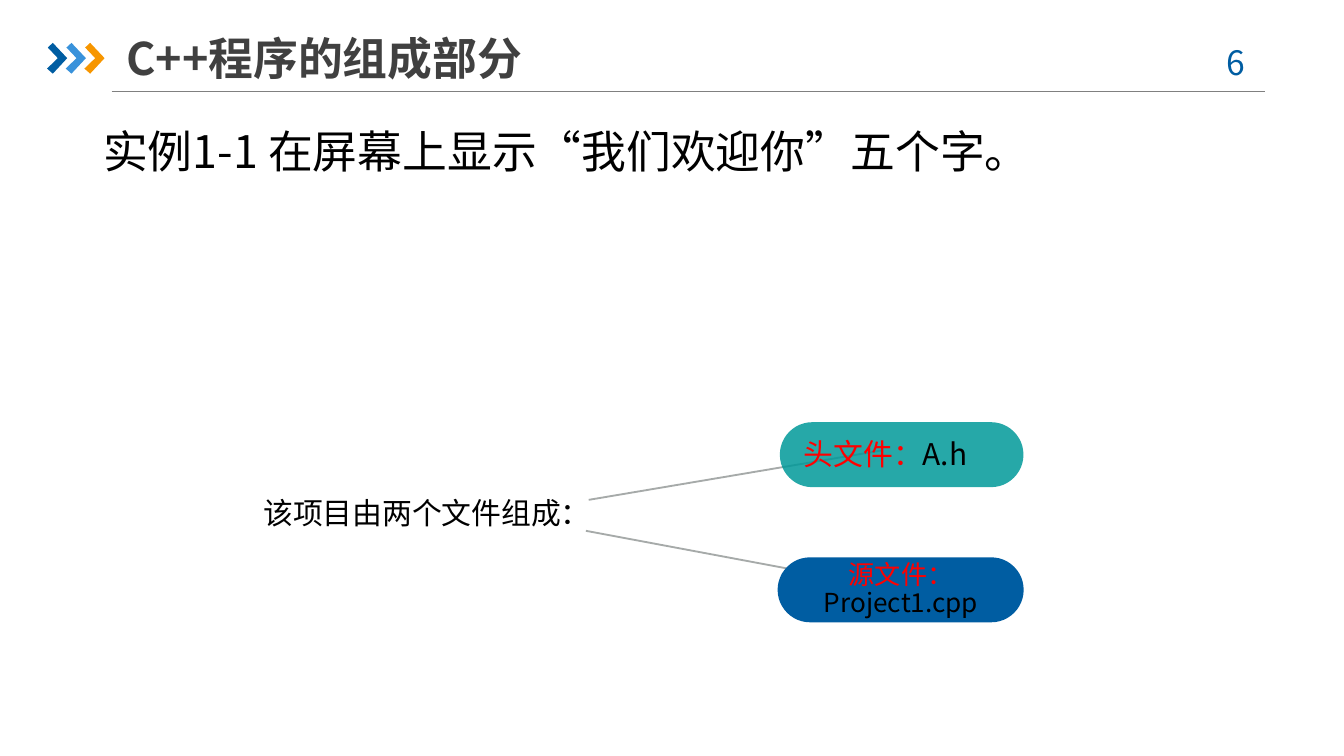
from dataclasses import dataclass

from lxml import etree
from pptx import Presentation
from pptx.dml.color import RGBColor
from pptx.enum.shapes import MSO_CONNECTOR, MSO_SHAPE
from pptx.enum.text import MSO_ANCHOR, MSO_AUTO_SIZE, PP_ALIGN
from pptx.oxml.ns import qn
from pptx.shapes.autoshape import Shape
from pptx.slide import Slide
from pptx.util import Pt

STRAIGHT = MSO_CONNECTOR.STRAIGHT
PILL = MSO_SHAPE.ROUNDED_RECTANGLE
TOP, MIDDLE = MSO_ANCHOR.TOP, MSO_ANCHOR.MIDDLE
LEFT, CENTER = PP_ALIGN.LEFT, PP_ALIGN.CENTER
FIT_SHAPE, FIXED = MSO_AUTO_SIZE.SHAPE_TO_FIT_TEXT, MSO_AUTO_SIZE.NONE

FONT = "Noto Sans CJK SC"
BLACK = RGBColor(0x00, 0x00, 0x00)
RED = RGBColor(0xFF, 0x00, 0x00)
BLUE = RGBColor(0x00, 0x5D, 0xA2)
SKY = RGBColor(0x39, 0x92, 0xDB)
ORANGE = RGBColor(0xF7, 0x96, 0x00)
TEAL = RGBColor(0x00, 0x99, 0x99)
CHARCOAL = RGBColor(0x40, 0x40, 0x40)
RULE_GRAY = RGBColor(0x80, 0x80, 0x80)
BRANCH_GRAY = RGBColor(0xA6, 0xAA, 0xA9)

CHEVRON = [(25.6, 25.5), (28.3, 23), (36, 31.2), (28.3, 39.5), (25.2, 36.8), (31, 31.2)]
CHEVRON_PITCH = 10


@dataclass(frozen=True)
class Box:
    left: float
    top: float
    width: float
    height: float


@dataclass(frozen=True)
class Caption:
    box: Box
    wording: tuple[tuple[str, RGBColor], ...]
    size: float
    align: PP_ALIGN = LEFT
    anchor: MSO_ANCHOR = TOP
    fit: MSO_AUTO_SIZE = FIXED
    wrap: bool = True
    bold: bool = False
    insets: tuple[float, float] = (7.2, 3.6)
    line_spacing: float = 1.0
    space_before: float = 0


@dataclass(frozen=True)
class Branch:
    start: tuple[float, float]
    end: tuple[float, float]
    pill: Box
    fill: RGBColor
    opacity: int
    label: Caption


def file_label(box: Box, kind: str, name: str, size: float) -> Caption:
    return Caption(box, ((kind, RED), (name, BLACK)), size, CENTER, MIDDLE,
                   insets=(0, 0), line_spacing=0.9, space_before=10)


PAGE_NUMBER = Caption(Box(638, 18.7, 52.5, 29), (("6 ", BLUE),), 18, CENTER, fit=FIT_SHAPE)
TITLE = Caption(Box(67.7, 15.8, 337.7, 30.2), (("C++程序的组成部分", CHARCOAL),), 24,
                anchor=MIDDLE, bold=True, insets=(0, 3.6))
EXAMPLE = Caption(Box(48.2, 62.6, 516.2, 36), (("实例1-1 在屏幕上显示“我们欢迎你”五个字。", BLACK),),
                  24, fit=FIT_SHAPE, wrap=False)
PROJECT = Caption(Box(134, 261.4, 190, 26.6), (("该项目由两个文件组成：", BLACK),),
                  16, fit=FIT_SHAPE, wrap=False, space_before=3.2)

BRANCHES = (
    Branch((315.4, 267.8), (473, 241.2), Box(417.8, 226.2, 130.5, 34.8), TEAL, 85,
           file_label(Box(419, 231.8, 110.9, 24.5), "头文件：", "A.h", 16)),
    Branch((313.9, 284.4), (471.6, 313.9), Box(416.6, 298.6, 131.8, 34.8), BLUE, 100,
           file_label(Box(417.6, 303.8, 130.3, 24.5), "源文件：", "Project1.cpp", 14)),
)


def paint(shape: Shape, color: RGBColor) -> None:
    shape.shadow.inherit = False
    shape.fill.solid()
    shape.fill.fore_color.rgb = color
    shape.line.fill.background()


def draw_line(slide: Slide, start: tuple[float, float], end: tuple[float, float],
              color: RGBColor, width: float) -> None:
    line = slide.shapes.add_connector(STRAIGHT, *map(Pt, start + end))
    line.line.color.rgb = color
    line.line.width = Pt(width)
    etree.SubElement(line._element.spPr, qn("a:effectLst"))


def draw_chevron(slide: Slide, offset: float, color: RGBColor) -> None:
    corners = [(Pt(x + offset), Pt(y)) for x, y in CHEVRON]
    builder = slide.shapes.build_freeform(*corners[0])
    builder.add_line_segments(corners[1:], close=True)
    paint(builder.convert_to_shape(), color)


def draw_caption(slide: Slide, caption: Caption) -> None:
    box = caption.box
    frame = slide.shapes.add_textbox(
        Pt(box.left), Pt(box.top), Pt(box.width), Pt(box.height)).text_frame
    frame.word_wrap = caption.wrap
    frame.auto_size = caption.fit
    frame.vertical_anchor = caption.anchor
    frame.margin_left = frame.margin_right = Pt(caption.insets[0])
    frame.margin_top = frame.margin_bottom = Pt(caption.insets[1])
    paragraph = frame.paragraphs[0]
    paragraph.alignment = caption.align
    paragraph.line_spacing = caption.line_spacing
    paragraph.space_before = Pt(caption.space_before)
    paragraph.font.size = Pt(caption.size)
    paragraph.font.bold = caption.bold
    paragraph.font.name = FONT
    defaults = paragraph._p.pPr.find(qn("a:defRPr"))
    etree.SubElement(defaults, qn("a:ea"), typeface=FONT)
    for text, color in caption.wording:
        run = paragraph.add_run()
        run.text = text
        run.font.color.rgb = color


def draw_branch(slide: Slide, branch: Branch) -> None:
    draw_line(slide, branch.start, branch.end, BRANCH_GRAY, 1)
    box = branch.pill
    pill = slide.shapes.add_shape(
        PILL, Pt(box.left), Pt(box.top), Pt(box.width), Pt(box.height))
    pill.adjustments[0] = 0.5
    paint(pill, branch.fill)
    if branch.opacity < 100:
        color = pill._element.spPr.find(qn("a:solidFill"))[0]
        etree.SubElement(color, qn("a:alpha"), val=str(branch.opacity * 1000))
    draw_caption(slide, branch.label)


def main() -> None:
    deck = Presentation()
    deck.slide_width, deck.slide_height = Pt(720), Pt(405)
    slide = deck.slides.add_slide(deck.slide_layouts[6])
    draw_line(slide, (59.8, 49.2), (677.5, 49.2), RULE_GRAY, 0.75)
    for index, color in enumerate((BLUE, SKY, ORANGE)):
        draw_chevron(slide, index * CHEVRON_PITCH, color)
    for caption in (PAGE_NUMBER, TITLE, EXAMPLE, PROJECT):
        draw_caption(slide, caption)
    for branch in BRANCHES:
        draw_branch(slide, branch)
    deck.save("out.pptx")


if __name__ == "__main__":
    main()
